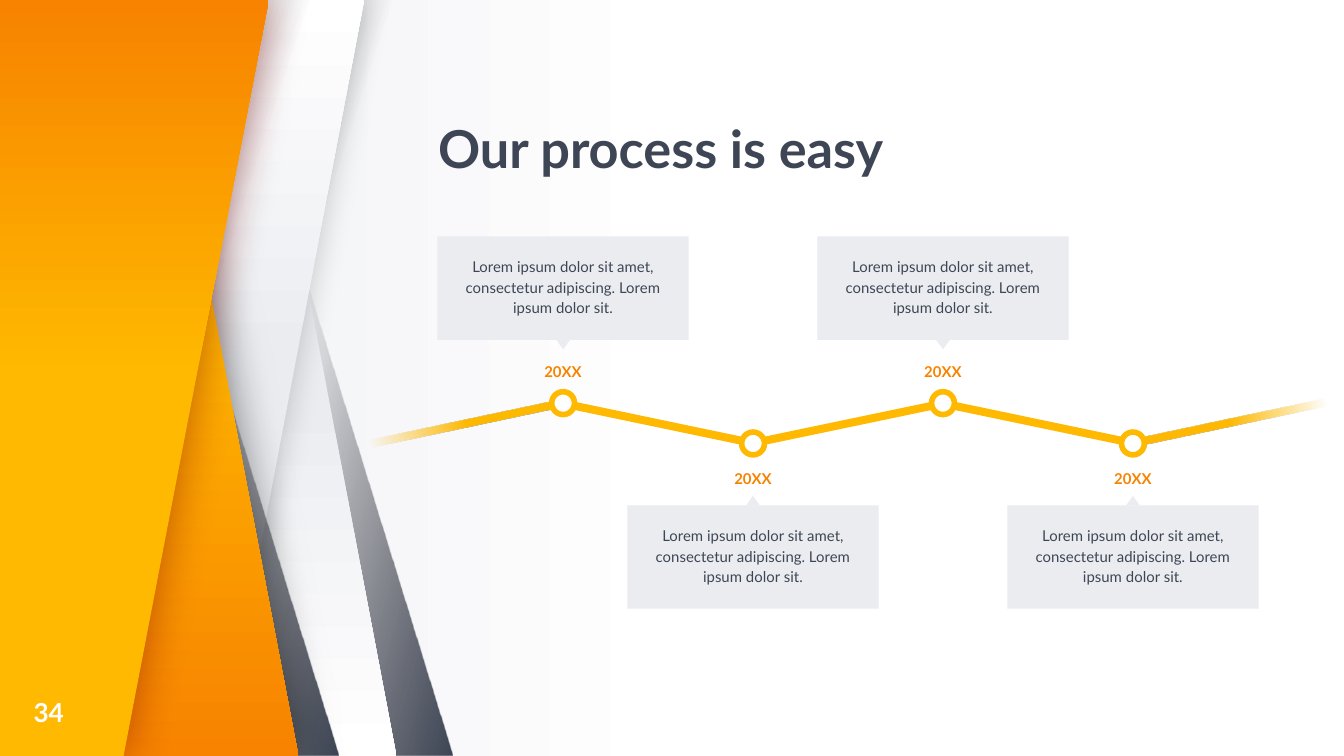
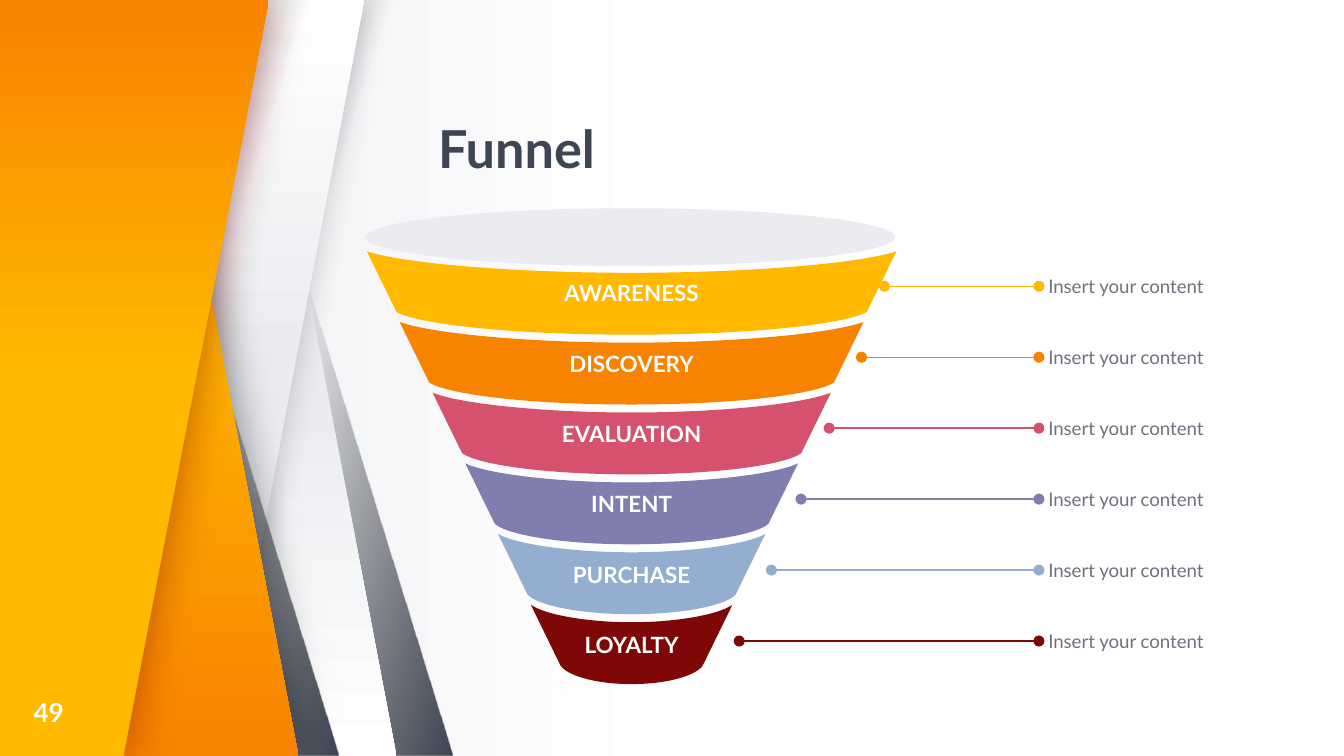
import pptx
import pptx.util
import pptx.dml.color
import pptx.enum.shapes
import pptx.enum.text
import pptx.oxml
from pptx.oxml.ns import qn, nsdecls

Inches, Pt = pptx.util.Inches, pptx.util.Pt
SHAPE = pptx.enum.shapes.MSO_SHAPE
ALIGN = pptx.enum.text.PP_ALIGN
ANCHOR = pptx.enum.text.MSO_ANCHOR

COLORS = {
    "yellow": "FFB900", "orange": "F78300", "pink": "D6516E", "purple": "807DAF",
    "blue": "93AECF", "maroon": "7E0808", "slate": "3E4655", "ink": "27252C",
    "mist": "EAECF0", "gray": "746F7E", "white": "FFFFFF", "black": "000000",
}
FONT = "Lato"
WIDTH, HEIGHT = 10, 5.625

# Gradient stops: position in percent, colour, opacity in percent
SHADE = [(45, "ink", 0), (100, "slate", 100)]
PAPER = [(53, "mist", 100), (100, "white", 100)]
BACKDROP = [(50, "white", 100), (100, "mist", 100)]
FADE = [(50, "yellow", 100), (100, "yellow", 0)]
AMBER_BACK = [(37, "yellow", 100), (100, "orange", 100)]
AMBER_FRONT = [(50, "yellow", 100), (100, "orange", 100)]

# Ribbons: left, slant, mirrored, stops, angle, shadow (colour, opacity, blur)
BACK_RIBBONS = [
    (1.07, 0.753, True, SHADE, 164, None),
    (0.65, 0.463, True, PAPER, 90, None),
    (0.65, 0.753, False, SHADE, 198, None),
    (0.41, 0.463, False, PAPER, 270, ("black", 20, 16.9)),
    (0.22, 0.753, True, SHADE, 164, None),
]
FRONT_RIBBON = (0.03, 0.753, False, SHADE, 198, None)
BACK_PANEL = [(0, 0), (0, HEIGHT), (2.22, HEIGHT), (1.15, 0)]
FRONT_PANEL = [(0, HEIGHT), (0, 0), (2, 0), (0.92, HEIGHT)]

LOREM = "Lorem ipsum dolor sit amet, consectetur adipiscing. Lorem ipsum dolor sit."
MILESTONES = [("20XX", LOREM)] * 4
FIRST_X, LAST_X = 4.19, 8.43
HIGH_Y, LOW_Y = 3.0, 3.3

# Funnel stages: label, colour, note, left end of the leader
STAGES = [
    ("AWARENESS", "yellow", "Insert your content", 6.58),
    ("DISCOVERY", "orange", "Insert your content", 6.41),
    ("EVALUATION", "pink", "Insert your content", 6.17),
    ("INTENT", "purple", "Insert your content", 5.96),
    ("PURCHASE", "blue", "Insert your content", 5.74),
    ("LOYALTY", "maroon", "Insert your content", 5.5),
]
FUNNEL_X, LEADER_END = 4.7, 7.73


def rgb(name):
    return pptx.dml.color.RGBColor.from_string(COLORS[name])


def between(first, last, i, count):
    """Value i of count evenly spaced values from first to last."""
    return first + (last - first) * i / (count - 1)


def set_gradient(fill, parent, stops, angle):
    fill.solid()
    gs = "".join(
        f'<a:gs pos="{pos * 1000}"><a:srgbClr val="{COLORS[color]}">'
        f'<a:alpha val="{alpha * 1000}"/></a:srgbClr></a:gs>'
        for pos, color, alpha in stops)
    grad = pptx.oxml.parse_xml(
        f'<a:gradFill {nsdecls("a")} rotWithShape="1"><a:gsLst>{gs}</a:gsLst>'
        f'<a:lin ang="{angle * 60000}" scaled="0"/></a:gradFill>')
    parent.replace(parent.find(qn("a:solidFill")), grad)


def style(sp, fill, angle=0, shadow=None):
    """Fill is a colour name or a list of gradient stops."""
    sp.shadow.inherit = False
    sp.line.fill.background()
    spPr = sp._element.spPr
    if isinstance(fill, str):
        sp.fill.solid()
        sp.fill.fore_color.rgb = rgb(fill)
    else:
        set_gradient(sp.fill, spPr, fill, angle)
    if shadow:
        color, alpha, blur = shadow
        spPr.find(qn("a:effectLst")).append(pptx.oxml.parse_xml(
            f'<a:outerShdw {nsdecls("a")} blurRad="{Pt(blur)}" dist="0" dir="0" '
            f'algn="ctr" rotWithShape="0"><a:srgbClr val="{COLORS[color]}">'
            f'<a:alpha val="{alpha * 1000}"/></a:srgbClr></a:outerShdw>'))
    return sp


def add_shape(s, kind, box, fill, angle=0, shadow=None, adj=None):
    sp = s.shapes.add_shape(kind, *map(Inches, box))
    if adj is not None:
        sp.adjustments[0] = adj
    return style(sp, fill, angle, shadow)


def add_outline(s, points, fill, angle=0, shadow=None):
    start, *rest = [(Inches(x), Inches(y)) for x, y in points]
    fb = s.shapes.build_freeform(*start)
    fb.add_line_segments(rest, close=True)
    return style(fb.convert_to_shape(), fill, angle, shadow)


def write(sp, text, size, color, bold=False, align=ALIGN.LEFT, anchor=ANCHOR.MIDDLE,
          inset=0, spacing=None, after=None):
    tf = sp.text_frame
    tf.word_wrap = True
    tf.vertical_anchor = anchor
    tf.margin_left = tf.margin_right = tf.margin_top = tf.margin_bottom = Inches(inset)
    p = tf.paragraphs[0]
    p.text = text
    p.alignment = align
    if spacing:
        p.line_spacing = spacing
    if after:
        p.space_after = Pt(after)
    p.font.name, p.font.size, p.font.bold = FONT, Pt(size), bold
    p.font.color.rgb = rgb(color)


def add_text(s, box, *args, **kwargs):
    write(s.shapes.add_textbox(*map(Inches, box)), *args, **kwargs)


def add_ribbon(s, left, slant, mirrored, stops, angle, shadow):
    sp = add_shape(s, SHAPE.PARALLELOGRAM, (left, 0, 2.3, HEIGHT), stops, angle, shadow, slant)
    if mirrored:
        sp._element.spPr.xfrm.set("flipH", "1")


def add_base(prs, title, number):
    """Slide with the backdrop, ribbons, title and page number."""
    s = prs.slides.add_slide(prs.slide_layouts[6])
    fill = s.background.fill
    fill.solid()
    set_gradient(fill, s.element.find(".//" + qn("p:bgPr")), BACKDROP, 180)
    for ribbon in BACK_RIBBONS:
        add_ribbon(s, *ribbon)
    add_outline(s, BACK_PANEL, AMBER_BACK, 90, ("black", 50, 24.7))
    add_ribbon(s, *FRONT_RIBBON)
    add_outline(s, FRONT_PANEL, AMBER_FRONT, 270, ("maroon", 50, 24.7))
    add_text(s, (3.26, 0.91, 5.97, 0.43), title, 28, "slate", True,
             anchor=ANCHOR.BOTTOM, spacing=0.9)
    add_text(s, (0.25, 5.16, 0.4, 0.27), str(number), 14, "white", True)
    return s


def add_milestone(s, x, high, year, text):
    y, card_y, tip_y, year_y = (
        (HIGH_Y, 1.76, 2.53, 2.6) if high else (LOW_Y, 3.76, 3.69, 3.4))
    body = dict(align=ALIGN.CENTER, anchor=ANCHOR.TOP, inset=0.1, spacing=1.15, after=16)
    add_shape(s, SHAPE.RECTANGLE, (x - 0.935, card_y, 1.87, 0.77), "mist")
    tip = add_shape(s, SHAPE.ISOSCELES_TRIANGLE, (x - 0.05, tip_y, 0.1, 0.07), "mist")
    tip.rotation = 180 if high else 0
    add_text(s, (x - 0.89, card_y + 0.04, 1.78, 0.68), text, 8, "slate", **body)
    add_text(s, (x - 0.38, year_y, 0.76, 0.36), year, 8, "orange", True, **body)
    dot = add_shape(s, SHAPE.OVAL, (x - 0.085, y - 0.085, 0.17, 0.17), "white")
    dot.line.color.rgb = rgb("yellow")
    dot.line.width = Pt(3)


def build_process(prs):
    s = add_base(prs, "Our process is easy", 34)
    count = len(MILESTONES)
    for i in range(count + 1):
        x = between(FIRST_X, LAST_X, i - 0.5, count)
        end = i in (0, count)
        bar = add_shape(s, SHAPE.ROUNDED_RECTANGLE, (x - 0.74, 3.12, 1.48, 0.06),
                        FADE if end else "yellow", 180 if i == 0 else 0,
                        adj=0 if end else 0.5)
        bar.rotation = 11.8 if i % 2 else -11.8
    for i, (year, text) in enumerate(MILESTONES):
        add_milestone(s, between(FIRST_X, LAST_X, i, count), i % 2 == 0, year, text)


def bend(sp, segment, *controls):
    """Turn a straight segment of a freeform into a curve with two control points."""
    end = segment.find(qn("a:pt"))
    segment.tag = qn("a:cubicBezTo")
    for x, y in controls:
        end.addprevious(pptx.oxml.parse_xml(
            f'<a:pt {nsdecls("a")} x="{Inches(x) - sp.left}" y="{Inches(y) - sp.top}"/>'))


def add_band(s, i, color):
    """Funnel band: both edges sag, the sides lean inwards."""
    count = len(STAGES)
    top = between(1.87, 4.5, i, count)
    half = between(1.97, 0.75, i, count)
    sag = between(0.16, 0.13, i, count)
    low, foot, dip = top + 0.45, half - 0.22, top + sag
    bottom = dip + 0.46
    points = [(0, dip), (half, top), (foot, low), (0, bottom),
              (-foot, low), (-half, top), (0, dip)]
    sp = add_outline(s, [(FUNNEL_X + x, y) for x, y in points], color)
    segments = list(sp._element.spPr.iter(qn("a:lnTo")))
    upper = [(0.42 * half, dip), (0.85 * half, top + 0.6 * sag)]
    lower = [(0.92 * foot, (low + bottom) / 2), (0.54 * foot, bottom)]
    for n, controls, side in ((0, upper, 1), (2, lower, 1),
                              (3, lower[::-1], -1), (5, upper[::-1], -1)):
        bend(sp, segments[n], *[(FUNNEL_X + side * x, y) for x, y in controls])
    return sp


def add_leader(s, left, y, color):
    line = s.shapes.add_connector(pptx.enum.shapes.MSO_CONNECTOR.STRAIGHT,
                                  *map(Inches, (left, y, LEADER_END, y)))
    line.line.color.rgb = rgb(color)
    line.line.width = Pt(0.75)
    for tag in ("headEnd", "tailEnd"):
        line.line._get_or_add_ln().append(
            pptx.oxml.parse_xml(f'<a:{tag} {nsdecls("a")} type="oval"/>'))
    line._element.spPr.append(pptx.oxml.parse_xml(f'<a:effectLst {nsdecls("a")}/>'))


def build_funnel(prs):
    s = add_base(prs, "Funnel", 49)
    add_shape(s, SHAPE.OVAL, (2.72, 1.55, 3.94, 0.43), "mist")
    for i, (label, color, note, left) in enumerate(STAGES):
        write(add_band(s, i, color), label, 12, "white", True, ALIGN.CENTER, inset=0.04)
        y = between(2.13, 4.77, i, len(STAGES))
        add_leader(s, left, y, color)
        add_text(s, (7.8, y - 0.19, 1.84, 0.38), note, 10, "gray")


def main():
    prs = pptx.Presentation()
    prs.slide_width, prs.slide_height = Inches(WIDTH), Inches(HEIGHT)
    build_process(prs)
    build_funnel(prs)
    prs.save("out.pptx")


if __name__ == "__main__":
    main()
